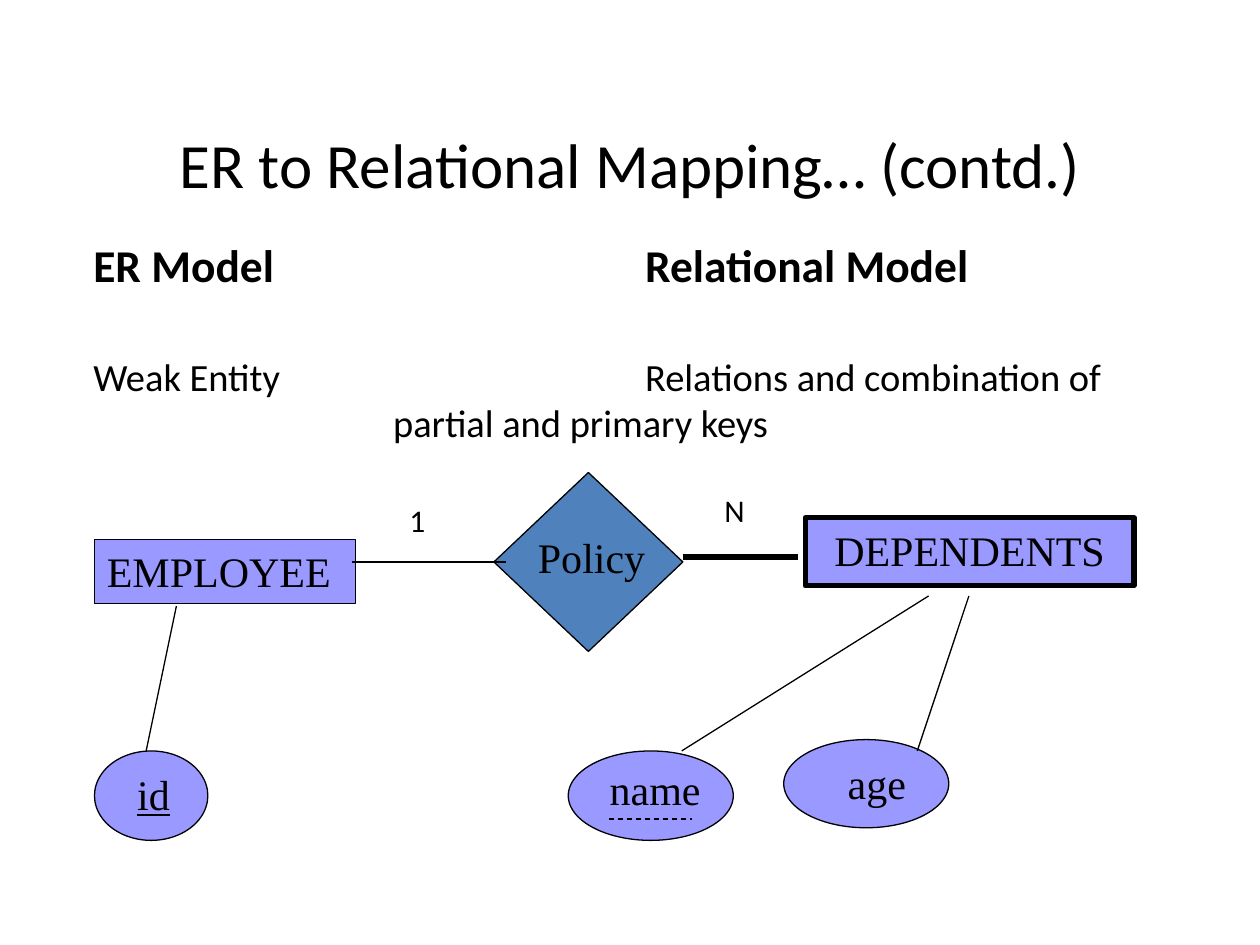
"""Build the slide that maps a weak entity from an ER model to relations."""
import dataclasses
import typing

import lxml.etree
import pptx
import pptx.dml.color
import pptx.enum.dml
import pptx.enum.shapes
import pptx.enum.text
import pptx.oxml.ns
import pptx.util

Inches = pptx.util.Inches
Pt = pptx.util.Pt
ShapeKind = pptx.enum.shapes.MSO_SHAPE
Align = pptx.enum.text.PP_ALIGN
BLACK = pptx.dml.color.RGBColor(0x00, 0x00, 0x00)
BLUE = pptx.dml.color.RGBColor(0x4F, 0x81, 0xBD)
LILAC = pptx.dml.color.RGBColor(0x99, 0x99, 0xFF)
SANS = "Calibri"
SERIF = "Times New Roman"
THIN = 0.75
THICK = 3
HANGING_INDENT = 0.38
TAB_SPACING = 2


@dataclasses.dataclass
class Node:
    kind: ShapeKind
    box: tuple[float, float, float, float]
    fill: pptx.dml.color.RGBColor = LILAC
    width: float = THIN
    text: str = ""
    align: Align = Align.LEFT


@dataclasses.dataclass
class Label:
    text: str
    box: tuple[float, float, float, float]
    font: str = SERIF
    size: int = 24
    align: Align = Align.LEFT
    underline: bool = False


@dataclasses.dataclass
class Link:
    start: tuple[float, float]
    end: tuple[float, float]
    width: float = THIN
    dashed: bool = False


NODES = [
    Node(ShapeKind.DIAMOND, (3.92, 3.75, 1.5, 1.42), BLUE),
    Node(ShapeKind.OVAL, (6.22, 5.87, 1.31, 0.7)),
    Node(ShapeKind.OVAL, (4.51, 5.96, 1.31, 0.71)),
    Node(ShapeKind.OVAL, (0.75, 5.96, 0.9, 0.71)),
    Node(ShapeKind.RECTANGLE, (0.75, 4.28, 2.07, 0.51), text="EMPLOYEE"),
    Node(ShapeKind.RECTANGLE, (6.39, 4.11, 2.61, 0.54), width=THICK,
         text="DEPENDENTS", align=Align.CENTER),
]
LABELS = [
    Label("Policy", (4.17, 4.17, 1.05, 0.9), align=Align.CENTER),
    Label("name", (4.74, 6.01, 0.92, 0.5)),
    Label("age", (6.63, 5.96, 0.66, 0.5)),
    Label("id", (0.99, 6.05, 0.46, 0.5), underline=True),
    Label("1", (3.15, 3.93, 0.36, 0.43), SANS, 18),
    Label("N", (5.65, 3.85, 0.4, 0.43), SANS, 18),
]
LINKS = [
    Link((2.79, 4.46), (4.02, 4.46)),
    Link((4.83, 6.5), (5.49, 6.5), dashed=True),
    Link((5.41, 5.96), (7.37, 4.73)),
    Link((7.28, 5.96), (7.69, 4.73)),
    Link((1.16, 5.96), (1.4, 4.81)),
    Link((5.42, 4.42), (6.33, 4.42), THICK),
]


def style_paragraph(paragraph: typing.Any, font: str, size: int, align: Align,
                    bold: bool = False, underline: bool = False) -> None:
    paragraph.alignment = align
    for run in paragraph.runs:
        run.font.name = font
        run.font.size = Pt(size)
        run.font.bold = bold
        run.font.underline = underline
        run.font.color.rgb = BLACK


def place(shape: typing.Any, *box: float) -> None:
    shape.left, shape.top, shape.width, shape.height = map(Inches, box)


def add_node(slide: typing.Any, node: Node) -> None:
    shape = slide.shapes.add_shape(node.kind, *map(Inches, node.box))
    shape.shadow.inherit = False
    shape.fill.solid()
    shape.fill.fore_color.rgb = node.fill
    shape.line.color.rgb = BLACK
    shape.line.width = Pt(node.width)
    if node.text:
        frame = shape.text_frame
        frame.text = node.text
        frame.word_wrap = True
        frame.auto_size = pptx.enum.text.MSO_AUTO_SIZE.SHAPE_TO_FIT_TEXT
        frame.vertical_anchor = pptx.enum.text.MSO_ANCHOR.TOP
        style_paragraph(frame.paragraphs[0], SERIF, 24, node.align)


def add_label(slide: typing.Any, label: Label) -> None:
    frame = slide.shapes.add_textbox(*map(Inches, label.box)).text_frame
    frame.text = label.text
    frame.word_wrap = False
    frame.auto_size = pptx.enum.text.MSO_AUTO_SIZE.SHAPE_TO_FIT_TEXT
    style_paragraph(frame.paragraphs[0], label.font, label.size, label.align,
                    underline=label.underline)


def add_link(slide: typing.Any, link: Link) -> None:
    connector = slide.shapes.add_connector(
        pptx.enum.shapes.MSO_CONNECTOR.STRAIGHT,
        *map(Inches, link.start + link.end))
    connector.line.color.rgb = BLACK
    connector.line.width = Pt(link.width)
    if link.dashed:
        connector.line.dash_style = pptx.enum.dml.MSO_LINE.DASH
    properties = connector._element.spPr
    lxml.etree.SubElement(properties, pptx.oxml.ns.qn("a:effectLst"))


def set_columns(paragraph: typing.Any) -> None:
    properties = paragraph._p.get_or_add_pPr()
    properties.set("marL", str(Inches(HANGING_INDENT)))
    properties.set("indent", str(Inches(-HANGING_INDENT)))
    properties.set("defTabSz", str(Inches(TAB_SPACING)))
    lxml.etree.SubElement(properties, pptx.oxml.ns.qn("a:buNone"))


def fill_title(title: typing.Any) -> None:
    place(title, 0.5, 0.67, 9, 1.25)
    frame = title.text_frame
    frame.text = "ER to Relational Mapping… (contd.)"
    frame.vertical_anchor = pptx.enum.text.MSO_ANCHOR.MIDDLE
    style_paragraph(frame.paragraphs[0], SANS, 36, Align.CENTER)


def fill_body(body: typing.Any) -> None:
    place(body, 0.64, 1.83, 8.83, 2.33)
    frame = body.text_frame
    frame.text = "ER Model\t\tRelational Model"
    frame.auto_size = pptx.enum.text.MSO_AUTO_SIZE.NONE
    heading, mapping = frame.paragraphs[0], frame.add_paragraph()
    mapping.text = ("Weak Entity\t\tRelations and combination of"
                    "\v\tpartial and primary keys")
    for paragraph, size, gap in ((heading, 26, 0), (mapping, 22, 35)):
        paragraph.space_before = Pt(gap)
        style_paragraph(paragraph, SANS, size, Align.LEFT,
                        bold=paragraph is heading)
        set_columns(paragraph)


def main() -> None:
    presentation = pptx.Presentation()
    presentation.slide_width = Inches(10)
    presentation.slide_height = Inches(7.5)
    slide = presentation.slides.add_slide(presentation.slide_layouts[1])
    fill_title(slide.shapes.title)
    fill_body(slide.placeholders[1])
    for node in NODES:
        add_node(slide, node)
    for link in LINKS:
        add_link(slide, link)
    for label in LABELS:
        add_label(slide, label)
    presentation.save("out.pptx")


main()
